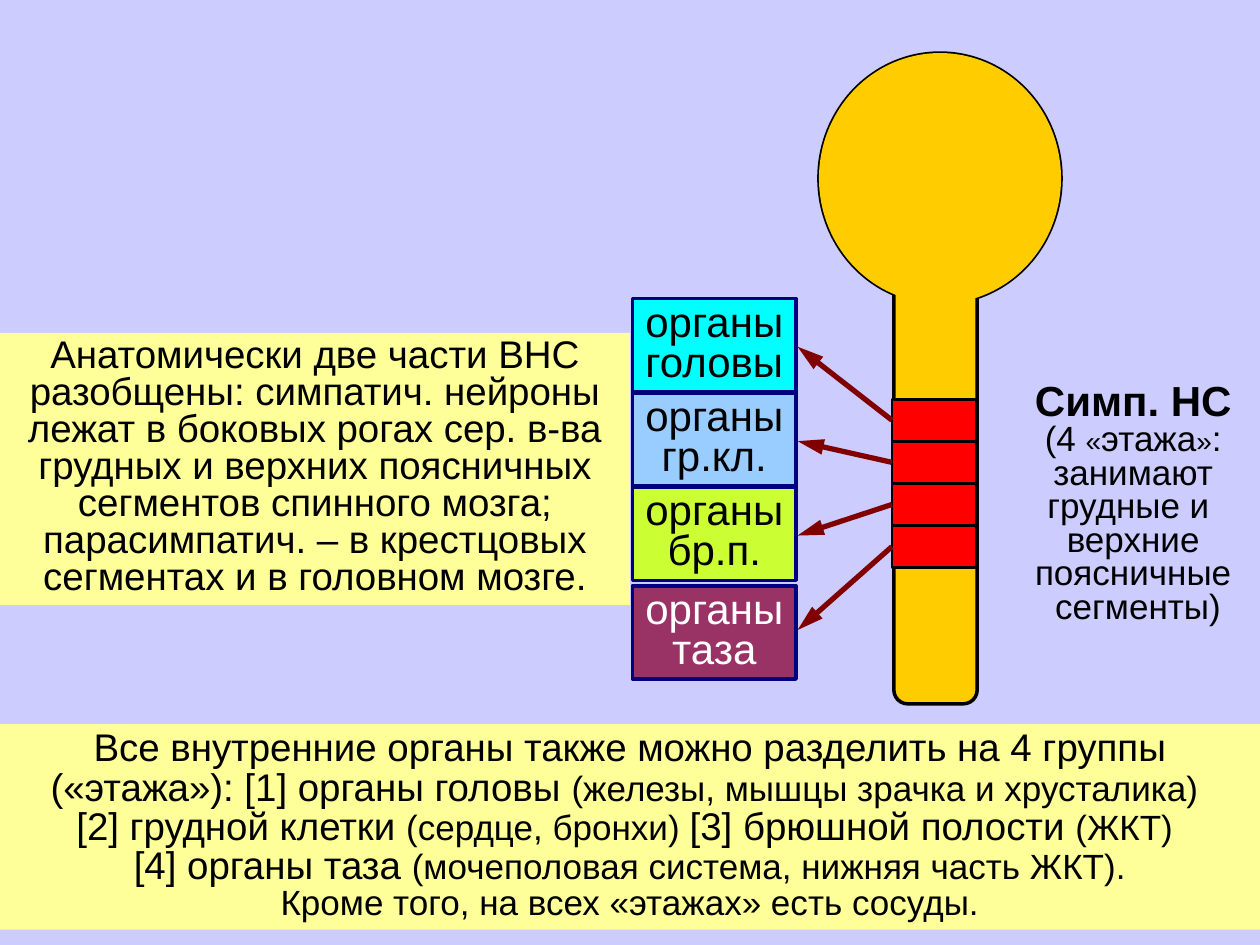
from dataclasses import dataclass

from lxml.etree import SubElement
from pptx import Presentation
from pptx.dml.color import RGBColor
from pptx.enum.shapes import MSO_CONNECTOR as CONN, MSO_SHAPE as SHAPE
from pptx.enum.text import MSO_ANCHOR as ANCHOR, MSO_AUTO_SIZE as AUTO, PP_ALIGN as ALIGN
from pptx.oxml.ns import qn
from pptx.util import Cm, Pt


@dataclass(frozen=True)
class Theme:
    font: str = "Arial"
    back: str = "CCCCFF"
    note: str = "FFFF99"
    body: str = "FFCC00"
    segment: str = "FF0000"
    arrow: str = "800000"
    frame: str = "000080"
    ink: str = "000000"
    light: str = "FFFFFF"
    big: int = 24
    text: int = 22
    small: int = 20
    quote: int = 16


T = Theme()
LEVELS = 4
SEGMENT_STEP = 0.85
ORGAN_STEP = 1.9

ORGANS = [
    ("головы", "00FFFF", T.ink),
    ("гр.кл.", "99CCFF", T.ink),
    ("бр.п.", "CCFF33", T.ink),
    ("таза", "993366", T.light),
]

ANATOMY = [[(
    "Анатомически две части ВНС разобщены: симпатич. нейроны лежат в боковых "
    "рогах сер. в-ва грудных и верхних поясничных сегментов спинного мозга; "
    "парасимпатич. – в крестцовых сегментах и в головном мозге.", T.text)]]

GROUPS = [
    [("Все внутренние органы также можно разделить на 4 группы "
      "(«этажа»): [1] органы головы ", T.text),
     ("(железы, мышцы зрачка и хрусталика)", T.small), (" ", T.text)],
    [("[2] грудной клетки ", T.text), ("(сердце, бронхи) ", T.small),
     ("[3] брюшной полости ", T.text), ("(ЖКТ)", T.small), (" ", T.text)],
    [("[4] органы таза ", T.text),
     ("(мочеполовая система, нижняя часть ЖКТ).", T.small)],
    [("Кроме того, на всех «этажах» есть сосуды.", T.small)],
]

SYMPATHETIC = [
    [("Симп. НС", T.big, True)],
    [("(4 ", T.small), ("«", T.quote), ("этажа", T.small),
     ("»", T.quote), (":", T.small)],
    [("занимают грудные и ", T.small)],
    [("верхние", T.small)],
    [("поясничные", T.small)],
    [(" сегменты)", T.small)],
]


def rgb(value):
    return RGBColor.from_string(value)


def write(sp, paragraphs, color=T.ink, spacing=0.8, wrap=True):
    tf = sp.text_frame
    tf.word_wrap = wrap
    tf.auto_size = AUTO.SHAPE_TO_FIT_TEXT
    tf.vertical_anchor = ANCHOR.TOP
    for i, runs in enumerate(paragraphs):
        p = tf.paragraphs[0] if i == 0 else tf.add_paragraph()
        p.alignment = ALIGN.CENTER
        p.line_spacing = spacing
        for text, size, *bold in runs:
            r = p.add_run()
            r.text = text
            r.font.name = T.font
            r.font.size = Pt(size)
            r.font.bold = bool(bold)
            r.font.color.rgb = rgb(color)


def add_block(shapes, kind, box, fill, line=None, width=2):
    sp = shapes.add_shape(kind, *map(Cm, box))
    sp.shadow.inherit = False
    sp.fill.solid()
    sp.fill.fore_color.rgb = rgb(fill)
    if line:
        sp.line.color.rgb = rgb(line)
        sp.line.width = Pt(width)
    else:
        sp.line.fill.background()
    return sp


def add_note(s, box, paragraphs, spacing):
    sp = add_block(s.shapes, SHAPE.RECTANGLE, box, T.note)
    write(sp, paragraphs, spacing=spacing)


def add_nervous_system(s, box):
    x, y, w, h = box
    shapes = s.shapes.add_group_shape().shapes
    head = (x, y, w, 5.05)
    stem = (x + 1.51, y + 4.04, 1.68, h - 4.04)
    add_block(shapes, SHAPE.OVAL, head, T.body, T.ink)
    add_block(shapes, SHAPE.ROUNDED_RECTANGLE, stem, T.body, T.ink)
    add_block(shapes, SHAPE.OVAL, head, T.body)


def add_sympathetic(s, box):
    x, y, w, h = box
    shapes = s.shapes.add_group_shape().shapes
    sp = shapes.add_textbox(Cm(x + 2.54), Cm(y - 0.43), Cm(w - 2.54), Cm(h + 0.43))
    write(sp, SYMPATHETIC)
    for i in range(LEVELS):
        cell = (x, y + i * SEGMENT_STEP, 1.7, 0.84)
        add_block(shapes, SHAPE.RECTANGLE, cell, T.segment, T.ink, 1.5)


def add_organs(s, box):
    x, y, w, h = box
    shapes = s.shapes.add_group_shape().shapes
    height = 1.88
    for i, (name, fill, color) in enumerate(ORGANS):
        top = y + h - height if i == LEVELS - 1 else y + i * ORGAN_STEP
        sp = add_block(shapes, SHAPE.RECTANGLE, (x, top, w, height), fill, T.frame)
        write(sp, [[("органы", T.big)], [(name, T.big)]], color, wrap=False)


def add_arrows(s, box):
    x, y, w, h = box
    shapes = s.shapes.add_group_shape().shapes
    for i in range(LEVELS):
        start = y + 1.48 + i * SEGMENT_STEP
        end = y + i * h / (LEVELS - 1)
        c = shapes.add_connector(CONN.STRAIGHT, Cm(x + w), Cm(start), Cm(x), Cm(end))
        c.line.color.rgb = rgb(T.arrow)
        c.line.width = Pt(3)
        SubElement(c.line._get_or_add_ln(), qn("a:tailEnd"),
                   type="triangle", w="med", len="lg")
        SubElement(c._element.spPr, qn("a:effectLst"))


def main():
    prs = Presentation()
    prs.slide_width, prs.slide_height = Cm(25.4), Cm(19.05)
    s = prs.slides.add_slide(prs.slide_layouts[6])
    s.background.fill.solid()
    s.background.fill.fore_color.rgb = rgb(T.back)

    add_note(s, (0, 6.71, 12.7, 5.49), ANATOMY, 0.8)
    add_nervous_system(s, (16.51, 1.07, 4.88, 13.12))
    add_sympathetic(s, (17.98, 8.05, 7.19, 4.7))
    add_note(s, (0, 14.6, 25.4, 4.14), GROUPS, 0.85)
    add_organs(s, (12.75, 6.02, 3.3, 7.67))
    add_arrows(s, (16.08, 6.99, 1.9, 5.71))
    prs.save("out.pptx")


if __name__ == "__main__":
    main()
